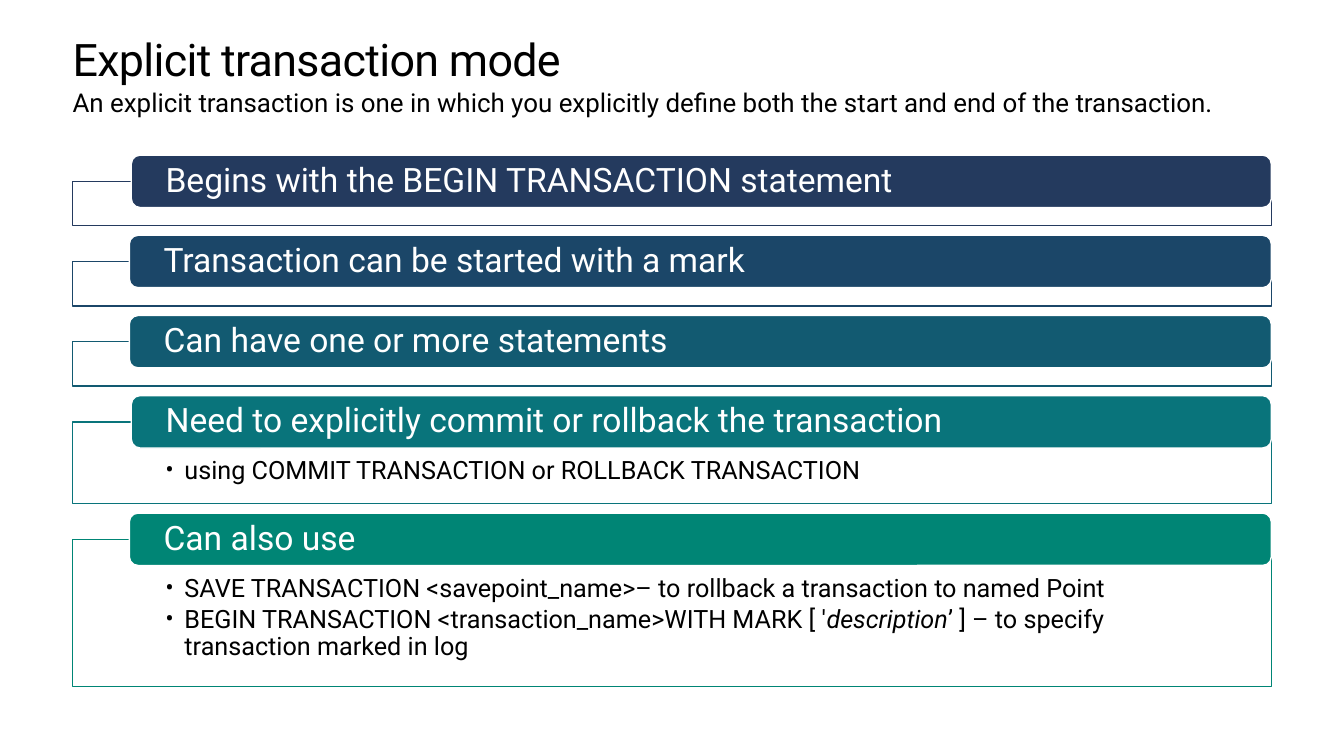
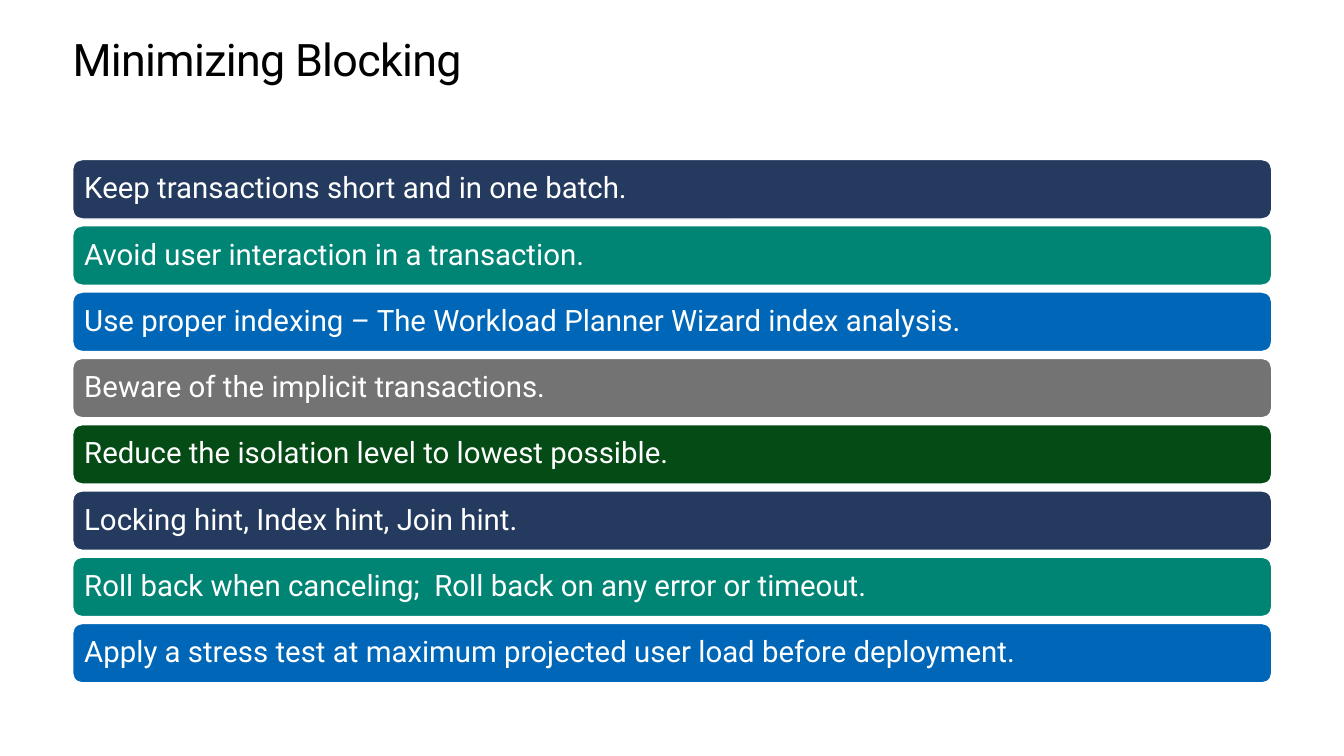
import lxml.etree
import pptx
import pptx.dml.color
import pptx.enum.shapes
import pptx.enum.text
import pptx.oxml.ns
import pptx.util

Cm, Pt = pptx.util.Cm, pptx.util.Pt
SHAPES = pptx.enum.shapes.MSO_SHAPE
ANCHORS = pptx.enum.text.MSO_ANCHOR

COLORS = {
    "white": "FFFFFF", "black": "000000", "navy": "243A5E", "steel": "1B4668",
    "petrol": "125A71", "lagoon": "09747B", "teal": "008575", "blue": "0067B8",
    "gray": "737373", "green": "054B16",
}
FONT = "Roboto"
LEFT, WIDTH = 1.83, 30.22

MODES = [
    ("Begins with the BEGIN TRANSACTION statement", "navy", 1.48, 1.12, []),
    ("Transaction can be started with a mark", "steel", 1.43, 1.12, []),
    ("Can have one or more statements", "petrol", 1.43, 1.12, []),
    ("Need to explicitly commit or rollback the transaction", "lagoon", 1.48, 2.06, [
        [("using COMMIT TRANSACTION or ROLLBACK TRANSACTION", False)],
    ]),
    ("Can also use", "teal", 1.43, 3.71, [
        [("SAVE TRANSACTION <savepoint_name>– to rollback a transaction to named Point", False)],
        [("BEGIN TRANSACTION <transaction_name>WITH MARK [ '", False),
         ("description", True),
         ("’ ] – to specify transaction marked in log", False)],
    ]),
]
TIPS = [
    ("Keep transactions short and in one batch.", "navy"),
    ("Avoid user interaction in a transaction.", "teal"),
    ("Use proper indexing – The Workload Planner Wizard index analysis.", "blue"),
    ("Beware of the implicit transactions.", "gray"),
    ("Reduce the isolation level to lowest possible.", "green"),
    ("Locking hint, Index hint, Join hint.", "navy"),
    ("Roll back when canceling;  Roll back on any error or timeout.", "teal"),
    ("Apply a stress test at maximum projected user load before deployment.", "blue"),
]


def rgb(name):
    """Return the named colour."""
    return pptx.dml.color.RGBColor.from_string(COLORS[name])


def add_run(p, text, size, color, italic=False):
    """Append one styled run to a paragraph."""
    r = p.add_run()
    r.text = text
    r.font.name, r.font.size = FONT, Pt(size)
    r.font.color.rgb = rgb(color)
    if italic:
        r.font.italic = True
    return r


def set_frame(tf, insets, anchor):
    """Set wrapping, anchor and insets (left, top, right, bottom)."""
    tf.word_wrap = True
    tf.vertical_anchor = anchor
    tf.margin_left, tf.margin_top, tf.margin_right, tf.margin_bottom = map(Cm, insets)


def add_label(s, top, text, size):
    """Add a full-width line of black text and return its paragraph and run."""
    sp = s.shapes.add_textbox(Cm(LEFT), Cm(top), Cm(WIDTH), Cm(1.27))
    set_frame(sp.text_frame, (0, 0, 0, 0), ANCHORS.TOP)
    p = sp.text_frame.paragraphs[0]
    return p, add_run(p, text, size, "black")


def add_title(s, text):
    """Add the slide title."""
    p, r = add_label(s, 0.89, text, 32)
    p.line_spacing = Pt(36.2)
    r._r.get_or_add_rPr().set("spc", "-50")


def add_box(s, kind, box, fill, line):
    """Add a flat filled and outlined shape."""
    sp = s.shapes.add_shape(kind, *map(Cm, box))
    sp.shadow.inherit = False
    sp.fill.solid()
    sp.fill.fore_color.rgb = rgb(fill)
    sp.line.color.rgb = rgb(line)
    sp.line.width = Pt(1)
    return sp


def add_bar(s, box, text, color, size, inset):
    """Add a rounded coloured bar with white text."""
    sp = add_box(s, SHAPES.ROUNDED_RECTANGLE, box, color, "white")
    set_frame(sp.text_frame, (inset, 0, inset, 0), ANCHORS.MIDDLE)
    p = sp.text_frame.paragraphs[0]
    p.alignment = pptx.enum.text.PP_ALIGN.LEFT
    p.line_spacing = 0.9
    add_run(p, text, size, "white")


def add_bullet(p, runs):
    """Fill a paragraph as a bulleted item with a hanging indent."""
    p.alignment = pptx.enum.text.PP_ALIGN.LEFT
    p.line_spacing, p.space_after = 0.9, Pt(2.7)
    pPr = p._p.get_or_add_pPr()
    pPr.set("marL", str(Cm(0.48)))
    pPr.set("indent", str(-Cm(0.48)))
    lxml.etree.SubElement(pPr, pptx.oxml.ns.qn("a:buFont")).set("typeface", FONT)
    lxml.etree.SubElement(pPr, pptx.oxml.ns.qn("a:buChar")).set("char", "•")
    for text, italic in runs:
        add_run(p, text, 18, "black", italic)


def add_panel(s, box, heading, color, indent, bullets):
    """Add an outlined panel with a heading bar across its top edge."""
    left, top, width, _ = box
    sp = add_box(s, SHAPES.RECTANGLE, box, "white", color)
    tf = sp.text_frame
    set_frame(tf, (2.34, 0.91, 2.34, 0.36), ANCHORS.TOP)
    for i, runs in enumerate(bullets):
        add_bullet(tf.add_paragraph() if i else tf.paragraphs[0], runs)
    bar = (left + indent, top - 0.66, width - indent - 0.01, 1.32)
    add_bar(s, bar, heading, color, 24, 0.8)


def add_panels(s, left, top, width, gap):
    """Stack the panels downwards with an equal gap."""
    for heading, color, indent, height, bullets in MODES:
        add_panel(s, (left, top, width, height), heading, color, indent, bullets)
        top += height + gap


def add_tips(s, left, top, width, pitch):
    """Stack the tip bars at an equal pitch."""
    for i, (text, color) in enumerate(TIPS):
        add_bar(s, (left, top + i * pitch, width, 1.5), text, color, 21, 0.22)


def main():
    """Build both slides and save them."""
    prs = pptx.Presentation()
    prs.slide_width, prs.slide_height = Cm(33.87), Cm(19.05)
    blank = prs.slide_layouts[6]

    s = prs.slides.add_slide(blank)
    add_title(s, "Explicit transaction mode")
    add_label(s, 2.18, "An explicit transaction is one in which you explicitly define "
              "both the start and end of the transaction.", 18.5)
    add_panels(s, LEFT, 4.57, WIDTH, 0.9)

    s = prs.slides.add_slide(blank)
    add_title(s, "Minimizing Blocking")
    add_tips(s, LEFT, 4.02, WIDTH, 1.67)

    prs.save("out.pptx")


if __name__ == "__main__":
    main()
